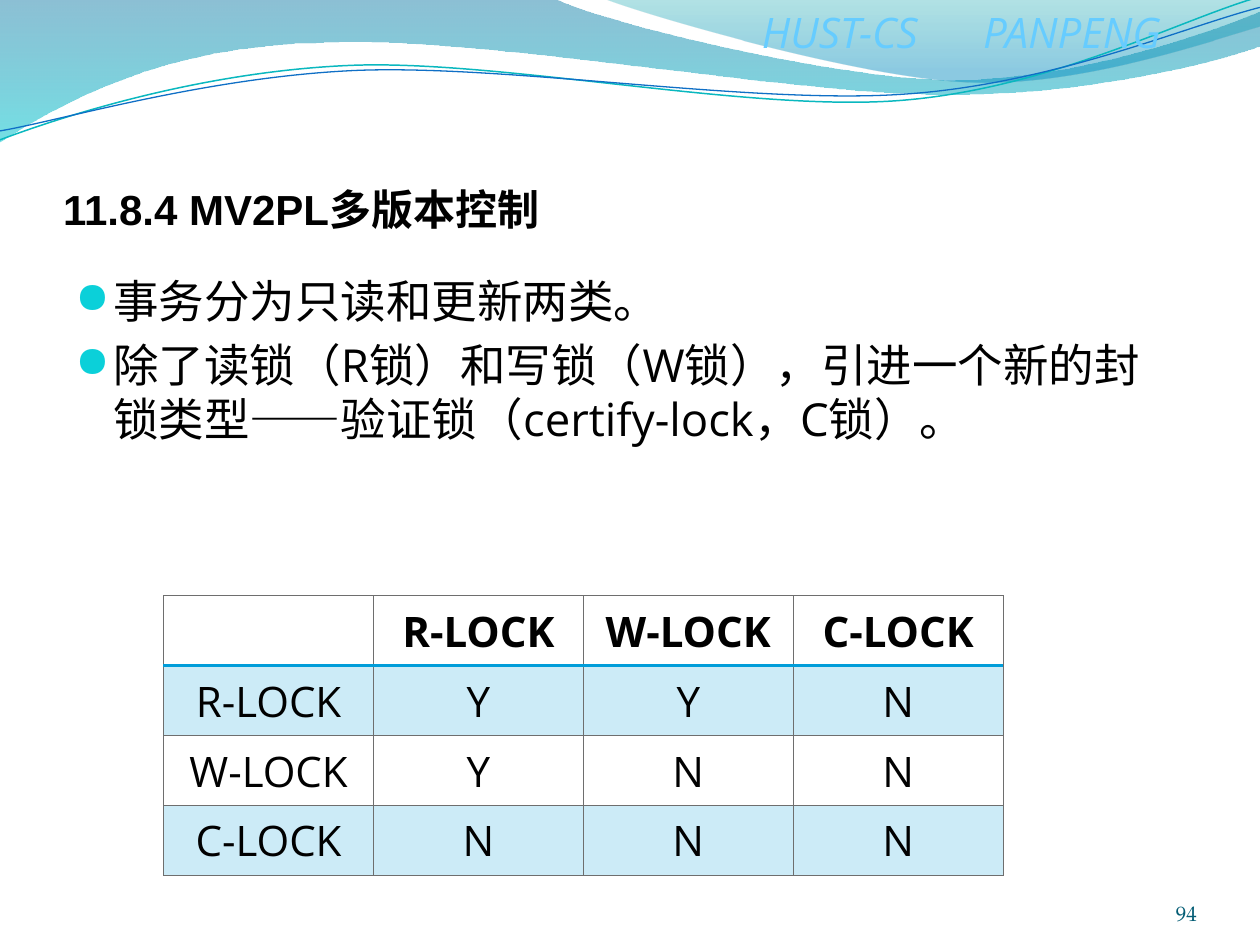
"""Build the MV2PL multiversion control slide with its lock compatibility table."""
from lxml import etree
from pptx import Presentation
from pptx.dml.color import RGBColor
from pptx.enum.text import MSO_ANCHOR, MSO_AUTO_SIZE, PP_ALIGN
from pptx.oxml.ns import qn
from pptx.util import Cm, Pt

LEFT, CENTER, RIGHT = PP_ALIGN.LEFT, PP_ALIGN.CENTER, PP_ALIGN.RIGHT
TOP, BOTTOM = MSO_ANCHOR.TOP, MSO_ANCHOR.BOTTOM
NO_FIT = MSO_AUTO_SIZE.NONE

BLACK = RGBColor(0x00, 0x00, 0x00)
SKY = RGBColor(0x66, 0xCC, 0xFF)
DEEP_TEAL = RGBColor(0x04, 0x5D, 0x75)
AQUA = RGBColor(0x0B, 0xD0, 0xD9)
BLUE = RGBColor(0x00, 0x9D, 0xD9)
GREY = RGBColor(0x6E, 0x6E, 0x6E)
WAVE_BLUE = RGBColor(0x00, 0x74, 0xA1)
WAVE_CYAN = RGBColor(0x00, 0xC6, 0xCF)
CREST_TEAL = RGBColor(0x00, 0xA1, 0xA9)
CREST_BLUE = RGBColor(0x00, 0x8B, 0xBF)
LINE_TEAL = RGBColor(0x0A, 0xB8, 0xBF)
LINE_BLUE = RGBColor(0x0F, 0x6F, 0xC6)

BODY_FONT, TITLE_FONT, NUMBER_FONT = "Open Sans", "Arial", "TeX Gyre Pagella"
BULLET_FONT = "OpenSymbol"

WAVE = [(0, -0.03), (11.18, -0.03), (12.09, 0.43, 16.87, 1.6, 19.25, 1.6),
        (21.67, 1.6, 24.33, 0.66, 25.4, 0.23), (25.43, 0.91),
        (24.97, 1.12, 22.1, 1.93, 18.95, 1.9), (15.8, 1.9, 9.7, 0.71, 6.53, 0.86),
        (3.28, 0.89, 1.17, 2.11, -0.03, 2.87)]
CREST = [(12.17, -0.03), (12.93, 0.28, 17.32, 1.57, 19.53, 1.65),
         (21.74, 1.75, 24.41, 0.81, 25.4, 0.53), (25.4, 0)]
TEAL_CURVE = [(0, 2.82), (1.22, 2.36, 4.01, 1.45, 7.04, 1.32),
              (10.03, 1.19, 15.06, 2.26, 18.11, 2.03), (21.16, 1.8, 23.83, 0.38, 25.35, -0.05)]
BLUE_CURVE = [(0, 2.64), (1.19, 2.44, 4.17, 1.55, 7.19, 1.42),
              (10.24, 1.3, 15.16, 2.11, 18.21, 1.9), (21.23, 1.7, 23.9, 0.53, 25.4, 0.15)]

LOCKS = [["", "R-LOCK", "W-LOCK", "C-LOCK"],
         ["R-LOCK", "Y", "Y", "N"],
         ["W-LOCK", "Y", "N", "N"],
         ["C-LOCK", "N", "N", "N"]]


def set_alpha(color_el, percent):
    """Give a colour element an opacity."""
    etree.SubElement(color_el, qn("a:alpha"), val=str(percent * 1000))


class Deck:
    """Holds the text style and the current slide."""

    def __init__(self, prs, font):
        """Add a title-only slide and keep the default font."""
        self.font = font
        self.slide = prs.slides.add_slide(prs.slide_layouts[5])
        self.shapes = self.slide.shapes

    def run(self, p, text, size, color=BLACK, font=None, bold=False, italic=False):
        """Add one formatted run."""
        r = p.add_run()
        r.text = text
        r.font.size, r.font.name = Pt(size), font or self.font
        r.font.bold, r.font.italic = bold, italic
        r.font.color.rgb = color

    def frame(self, sp, box, anchor=TOP, insets=None):
        """Place a text shape and set up its text frame."""
        sp.left, sp.top, sp.width, sp.height = (Cm(v) for v in box)
        tf = sp.text_frame
        tf.word_wrap, tf.auto_size, tf.vertical_anchor = True, NO_FIT, anchor
        if insets:
            tf.margin_left, tf.margin_top, tf.margin_right, tf.margin_bottom = (
                Cm(v) for v in insets)
        return tf

    def title(self, text, box):
        """Fill the title placeholder and bring it to the front."""
        sp = self.shapes.title
        p = self.frame(sp, box, BOTTOM, (0, 0.13, 0, 0)).paragraphs[0]
        p.alignment = LEFT
        self.run(p, text, 24, font=TITLE_FONT, bold=True)
        self.shapes._spTree.append(sp._element)

    def text(self, text, box, size, color, align=LEFT, tab=None, anchor=TOP, insets=None,
             **style):
        """Add a one-line text box, with an optional tab stop."""
        sp = self.shapes.add_textbox(0, 0, 0, 0)
        p = self.frame(sp, box, anchor, insets).paragraphs[0]
        p.alignment = align
        if tab:
            tabs = etree.SubElement(p._p.get_or_add_pPr(), qn("a:tabLst"))
            etree.SubElement(tabs, qn("a:tab"), pos=str(Cm(tab)), algn="l")
        self.run(p, text, size, color, **style)

    def bullets(self, items, box, size):
        """Add a bulleted list."""
        tf = self.frame(self.shapes.add_textbox(0, 0, 0, 0), box)
        for i, item in enumerate(items):
            p = tf.add_paragraph() if i else tf.paragraphs[0]
            p.space_before, p.line_spacing = Pt(size * 0.2), Pt(31)
            pPr = p._p.get_or_add_pPr()
            pPr.set("marL", str(Cm(0.76)))
            pPr.set("indent", str(Cm(-0.76)))
            color = etree.SubElement(pPr, qn("a:buClr"))
            etree.SubElement(color, qn("a:srgbClr"), val=str(AQUA))
            etree.SubElement(pPr, qn("a:buSzPct"), val="95000")
            etree.SubElement(pPr, qn("a:buFont"), typeface=BULLET_FONT)
            etree.SubElement(pPr, qn("a:buChar"), char="●")
            self.run(p, item, size)

    def outline(self, steps, close):
        """Add a freeform whose six-number steps are cubic curves."""
        points = [(Cm(x), Cm(y)) for step in steps for x, y in zip(step[::2], step[1::2])]
        builder = self.shapes.build_freeform(*points[0])
        builder.add_line_segments(points[1:], close=close)
        sp = builder.convert_to_shape()
        sp.shadow.inherit = False
        segments = iter(list(sp._element.iter(qn("a:lnTo"))))
        for step in steps[1:]:
            first = next(segments)
            if len(step) == 6:
                cubic = etree.Element(qn("a:cubicBezTo"))
                first.addprevious(cubic)
                for segment in (first, next(segments), next(segments)):
                    cubic.append(segment[0])
                    segment.getparent().remove(segment)
        return sp

    def wave(self, steps, stops):
        """Add a closed wave with a translucent vertical gradient."""
        sp = self.outline(steps, True)
        sp.line.fill.background()
        sp.fill.gradient()
        sp.fill.gradient_angle = 270
        for stop, (position, color, _) in zip(sp.fill.gradient_stops, stops):
            stop.position, stop.color.rgb = position, color
        for color_el, (_, _, alpha) in zip(sp._element.spPr.iter(qn("a:srgbClr")), stops):
            set_alpha(color_el, alpha)

    def curve(self, steps, color, width):
        """Add an open curved line."""
        sp = self.outline(steps, False)
        sp.fill.background()
        sp.line.color.rgb, sp.line.width = color, Pt(width)

    def border(self, cell, side, color, width):
        """Draw one side of a cell."""
        ln = etree.SubElement(cell._tc.get_or_add_tcPr(), qn(f"a:ln{side}"), w=str(Pt(width)))
        fill = etree.SubElement(ln, qn("a:solidFill"))
        etree.SubElement(fill, qn("a:srgbClr"), val=str(color))

    def table(self, rows, left, top, col_width, row_height, size):
        """Add a banded table with a ruled header row."""
        n_rows, n_cols = len(rows), len(rows[0])
        table = self.shapes.add_table(n_rows, n_cols, Cm(left), Cm(top), Cm(col_width * n_cols),
                                      Cm(row_height * n_rows)).table
        table.first_row = table.horz_banding = False
        for i, row in enumerate(rows):
            for j, text in enumerate(row):
                cell = table.cell(i, j)
                for side in "LRTB":
                    rule = (i, side) in ((0, "B"), (1, "T"))
                    self.border(cell, side, *((BLUE, 2) if rule else (GREY, 0.5)))
                if i % 2:
                    cell.fill.solid()
                    cell.fill.fore_color.rgb = BLUE
                    set_alpha(cell._tc.tcPr.find(qn("a:solidFill"))[0], 20)
                else:
                    cell.fill.background()
                p = cell.text_frame.paragraphs[0]
                p.alignment = CENTER
                if text:
                    self.run(p, text, size, bold=i == 0)


def main():
    """Build and save the slide."""
    prs = Presentation()
    prs.slide_width, prs.slide_height = Cm(25.4), Cm(19.05)
    deck = Deck(prs, BODY_FONT)
    deck.wave(WAVE, [(0, WAVE_BLUE, 45), (1, WAVE_CYAN, 55)])
    deck.wave(CREST, [(0, CREST_TEAL, 30), (0.8, CREST_BLUE, 45)])
    deck.curve(TEAL_CURVE, LINE_TEAL, 0.85)
    deck.curve(BLUE_CURVE, LINE_BLUE, 0.75)
    deck.text("HUST-CS\tPANPENG", (15.11, 0, 10.29, 1.27), 24, SKY, tab=4.46, italic=True)
    deck.title("11.8.4 MV2PL多版本控制", (1.27, 1.98, 22.86, 2.74))
    deck.bullets(["事务分为只读和更新两类。",
                  "除了读锁（R锁）和写锁（W锁），引进一个新的封锁类型——验证锁（certify-lock，C锁）。"],
                 (1.27, 5.39, 22.86, 2.74), 26)
    deck.text("94", (22.02, 17.65, 2.11, 1.02), 12, DEEP_TEAL, RIGHT, font=NUMBER_FONT,
              anchor=BOTTOM, insets=(0, 0, 0, 0))
    deck.table(LOCKS, 3.3, 12.01, 4.23, 1.03, 24)
    prs.save("out.pptx")


if __name__ == "__main__":
    main()
